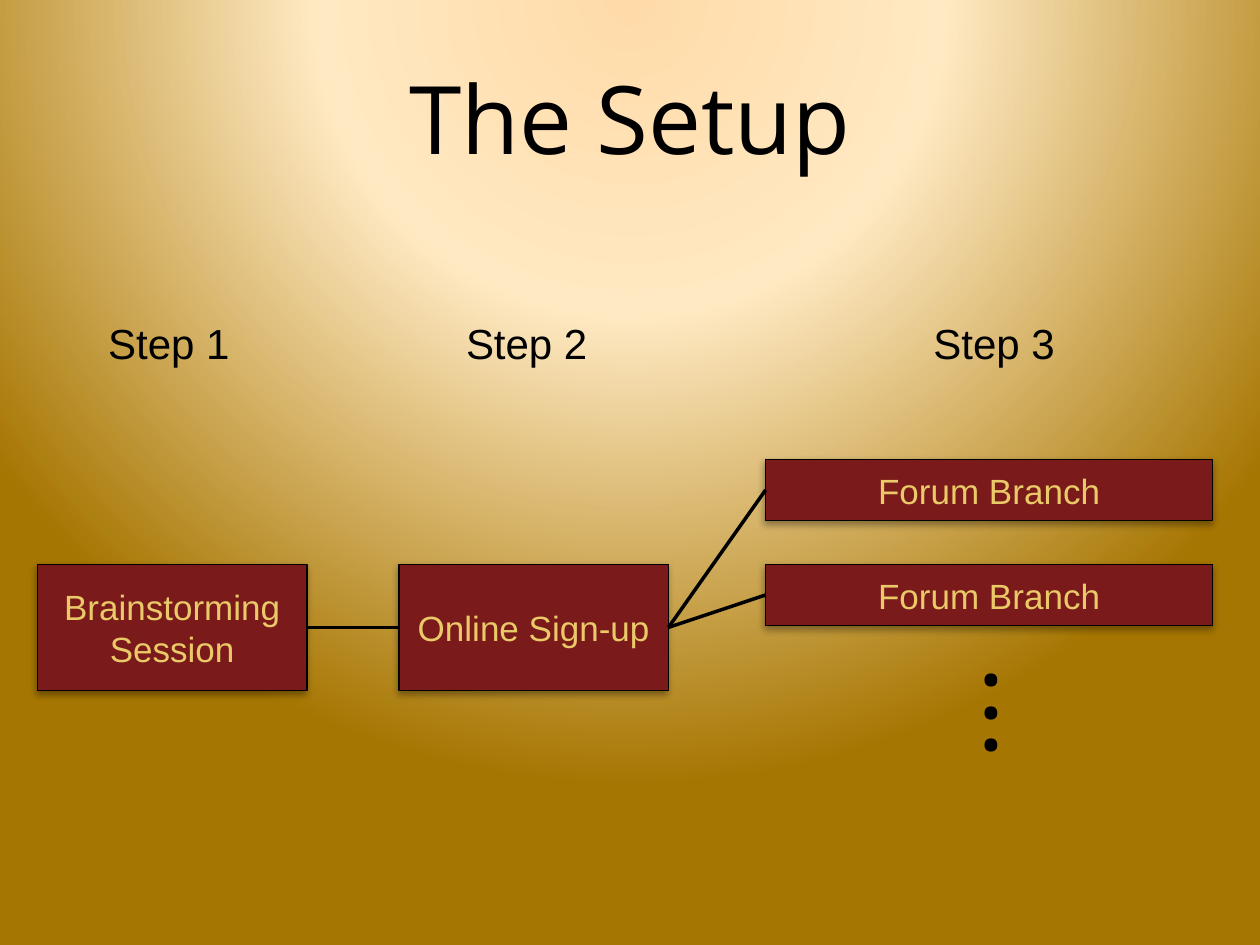
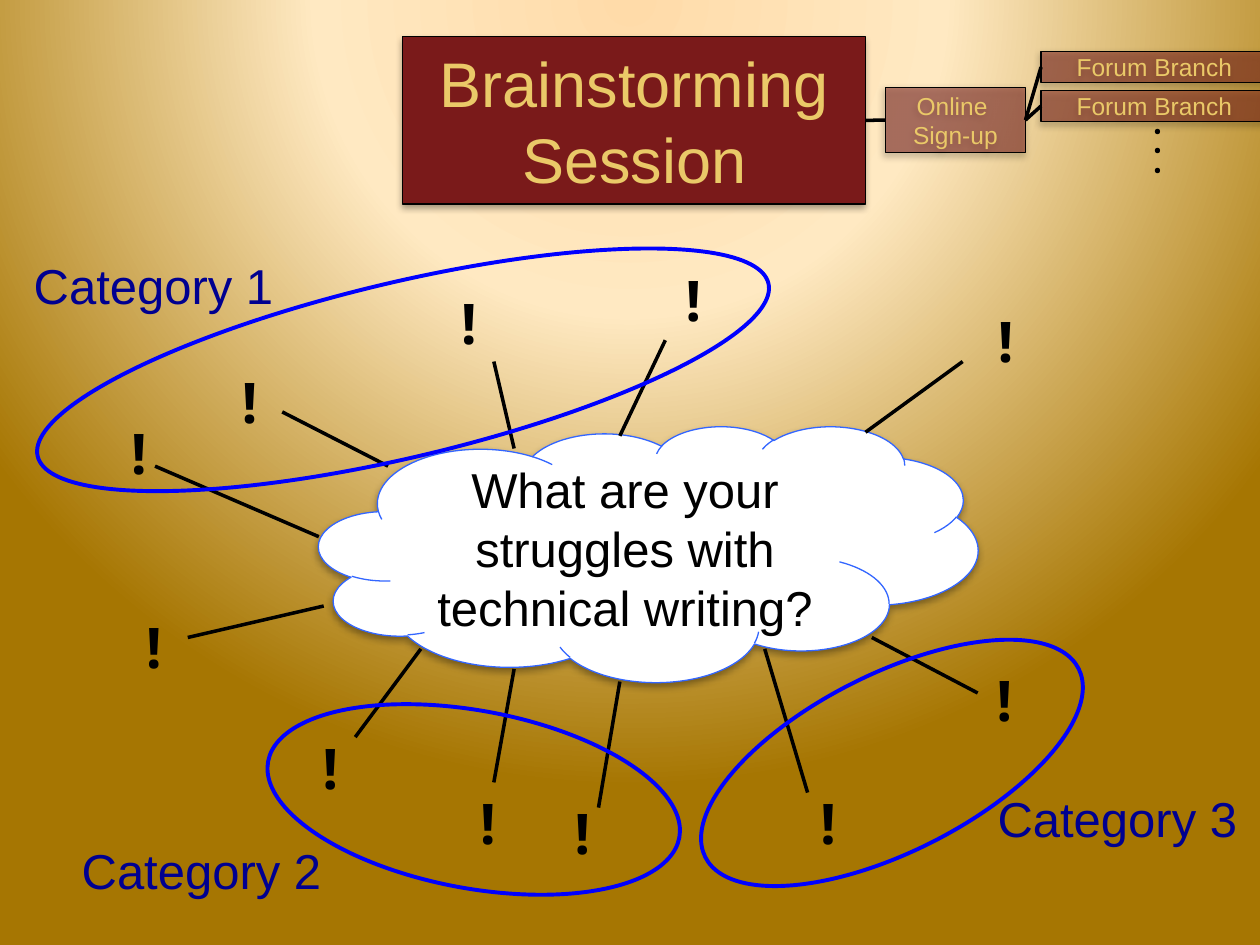
"""Builds two slides: the three-step setup and its brainstorming session."""
from lxml.etree import SubElement
from pptx import Presentation
from pptx.dml.color import RGBColor
from pptx.enum.shapes import MSO_CONNECTOR as Link, MSO_SHAPE as Shape
from pptx.enum.text import MSO_ANCHOR as Anchor, MSO_AUTO_SIZE as AutoSize, PP_ALIGN as Align
from pptx.oxml import parse_xml
from pptx.oxml.ns import nsdecls, qn
from pptx.util import Pt

BLACK, WHITE, MAROON, GOLD = "000000", "FFFFFF", "7A1A1A", "EAC968"
CLOUD_EDGE, RING_BLUE, LABEL_BLUE = "3366FF", "0000FF", "000090"
BODY, DISPLAY = "Arial", "Open Sans"
GLOW = [(0, "FFDBA9"), (40, "FFE9C2"), (100, "A67602")]
LEFT_SITE, RIGHT_SITE = 1, 3

STEPS = [("Step 1", 54.7), ("Step 2", 259.2), ("Step 3", 526.3)]
STEP_TOP = 177.8
SETUP_FLOW = {
    "stages": [
        ("Brainstorming Session", (21.4, 322.5, 154, 72), 20, 100),
        ("Online Sign-up", (228, 322.5, 154, 72), 20, 100),
        ("Forum Branch", (437.5, 262.5, 255.5, 35), 20, 100),
        ("Forum Branch", (437.5, 322.5, 255.5, 35), 20, 100),
    ],
    "dots": ((537, 389, 87, 60.5), 44),
}
SESSION_FLOW = {
    "stages": [
        ("Brainstorming Session", (230.2, 20.9, 264.4, 95.8), 36, 100),
        ("Online \nSign-up", (506, 49.9, 80, 37.4), 14, 50),
        ("Forum Branch", (594.9, 29.4, 129.6, 17.8), 14, 50),
        ("Forum Branch", (594.9, 51.7, 129.6, 17.8), 14, 50),
    ],
    "dots": ((639.4, 79.2, 56, 28.8), 18),
}
LINKS = [(0, 1), (1, 2), (1, 3)]

QUESTION = "What are your struggles with technical writing?"
CLOUD = (182.2, 243.4, 376.6, 146.2)
IDEAS = [
    ((67.7, 235.4), (182.2, 306.7), (88.6, 266.4)),
    ((131, 206.6), (221.8, 266.4), (161.3, 235.4)),
    ((256.3, 161.3), (293.8, 256.3), (282.2, 206.6)),
    ((384.5, 148.3), (354.2, 249.1), (380.2, 194.4)),
    ((563, 171.4), (494.6, 247), (550.1, 206.6)),
    ((562.3, 376.6), (498.2, 364.3), (558.7, 396)),
    ((76.3, 346.3), (185, 346.3), (107.3, 364.3)),
    ((177.1, 415.4), (240.5, 370.8), (203, 421.2)),
    ((267.1, 447.1), (293.8, 382.3), (282.2, 447.1)),
    ((321.1, 452.9), (354.2, 389.5), (342, 461.5)),
    ((461.5, 447.1), (437, 370.8), (461.5, 452.9)),
]
CATEGORIES = [
    ("Category 1", (12.2, 142.6), (15.8, 161.3, 429.1, 100.1), 346.7),
    ("Category 2", (39.6, 476.6), (151.2, 406.1, 239, 101.5), 10.5),
    ("Category 3", (563, 447.1), (390.2, 385.2, 239, 101.5), 333.2),
]


def color(hex_code):
    return RGBColor.from_string(hex_code)


def points(lengths):
    return [Pt(length) for length in lengths]


def write(frame, text, size, ink, font=BODY, bold=False, align=None):
    frame.text = text
    for paragraph in frame.paragraphs:
        paragraph.alignment = align
        for run in paragraph.runs:
            run.font.name, run.font.size, run.font.bold = font, Pt(size), bold
            run.font.color.rgb = color(ink)


def add_label(slide, text, area, size, ink=BLACK, font=BODY, bold=False, wrap=False):
    label = slide.shapes.add_textbox(*points(area))
    write(label.text_frame, text, size, ink, font, bold)
    label.text_frame.word_wrap = wrap
    label.text_frame.auto_size = AutoSize.SHAPE_TO_FIT_TEXT
    return label


def add_outline(slide, kind, area, edge, width):
    outline = slide.shapes.add_shape(kind, *points(area))
    outline.shadow.inherit = False
    outline.fill.background()
    outline.line.color.rgb, outline.line.width = color(edge), Pt(width)
    return outline


def add_panel(slide, kind, text, area, size, fill, ink, edge, opacity=100):
    panel = add_outline(slide, kind, area, edge, 0.75)
    panel.fill.solid()
    panel.fill.fore_color.rgb = color(fill)
    properties = panel._element.spPr
    if opacity < 100:
        tint = properties.find(qn("a:solidFill"))[0]
        SubElement(tint, qn("a:alpha"), val=str(opacity * 1000))
    shadow = SubElement(properties.find(qn("a:effectLst")), qn("a:outerShdw"),
                        blurRad=str(Pt(4)), dist=str(Pt(2)), dir=str(110 * 60000), rotWithShape="0")
    shade = SubElement(shadow, qn("a:srgbClr"), val=BLACK)
    SubElement(shade, qn("a:alpha"), val="35000")
    write(panel.text_frame, text, size, ink, align=Align.CENTER)
    panel.text_frame.word_wrap = True
    panel.text_frame.vertical_anchor = Anchor.MIDDLE
    return panel


def add_line(slide, start=(0, 0), end=(0, 0)):
    line = slide.shapes.add_connector(Link.STRAIGHT, *points(start + end))
    line.line.color.rgb, line.line.width = color(BLACK), Pt(2)
    SubElement(line._element.spPr, qn("a:effectLst"))
    return line


def add_flow(slide, flow):
    stages = [add_panel(slide, Shape.RECTANGLE, text, area, size, MAROON, GOLD, BLACK, opacity)
              for text, area, size, opacity in flow["stages"]]
    for source, target in LINKS:
        link = add_line(slide)
        link.begin_connect(stages[source], RIGHT_SITE)
        link.end_connect(stages[target], LEFT_SITE)
    area, size = flow["dots"]
    dots = add_label(slide, "...", area, size, font=DISPLAY, bold=True, wrap=True)
    dots.rotation = 90
    dots.text_frame.paragraphs[0].runs[0].font._element.set("spc", "600")


def set_background(master):
    stops = "".join(f'<a:gs pos="{place * 1000}"><a:srgbClr val="{tone}"/></a:gs>' for place, tone in GLOW)
    content = master._element.cSld
    content.remove(content.find(qn("p:bg")))
    content.insert(0, parse_xml(
        f'<p:bg {nsdecls("p", "a")}><p:bgPr><a:gradFill rotWithShape="1"><a:gsLst>{stops}</a:gsLst>'
        '<a:path path="circle"><a:fillToRect l="50000" t="-80000" r="50000" b="180000"/></a:path>'
        '</a:gradFill><a:effectLst/></p:bgPr></p:bg>'))


def build_setup(deck):
    slide = deck.slides.add_slide(deck.slide_layouts[5])
    title = slide.shapes.title
    title.left, title.top, title.width, title.height = points((45, 21.6, 630, 90))
    write(title.text_frame, "The Setup", 54, BLACK, DISPLAY, align=Align.CENTER)
    title.text_frame.vertical_anchor = Anchor.MIDDLE
    for step, left in STEPS:
        add_label(slide, step, (left, STEP_TOP, 85, 36), 24)
    add_flow(slide, SETUP_FLOW)


def build_session(deck):
    slide = deck.slides.add_slide(deck.slide_layouts[6])
    add_flow(slide, SESSION_FLOW)
    add_panel(slide, Shape.CLOUD, QUESTION, CLOUD, 28, WHITE, BLACK, CLOUD_EDGE)
    for mark, near, far in IDEAS:
        add_line(slide, near, far)
        add_label(slide, "!", mark + (26, 46), 32, font=DISPLAY, bold=True)
    for category, corner, ring_area, angle in CATEGORIES:
        ring = add_outline(slide, Shape.OVAL, ring_area, RING_BLUE, 2.25)
        ring.rotation = angle
        add_label(slide, category, corner + (152.6, 41), 28, LABEL_BLUE)


deck = Presentation()
deck.slide_width, deck.slide_height = points((720, 540))
set_background(deck.slide_master)
build_setup(deck)
build_session(deck)
deck.save("out.pptx")
